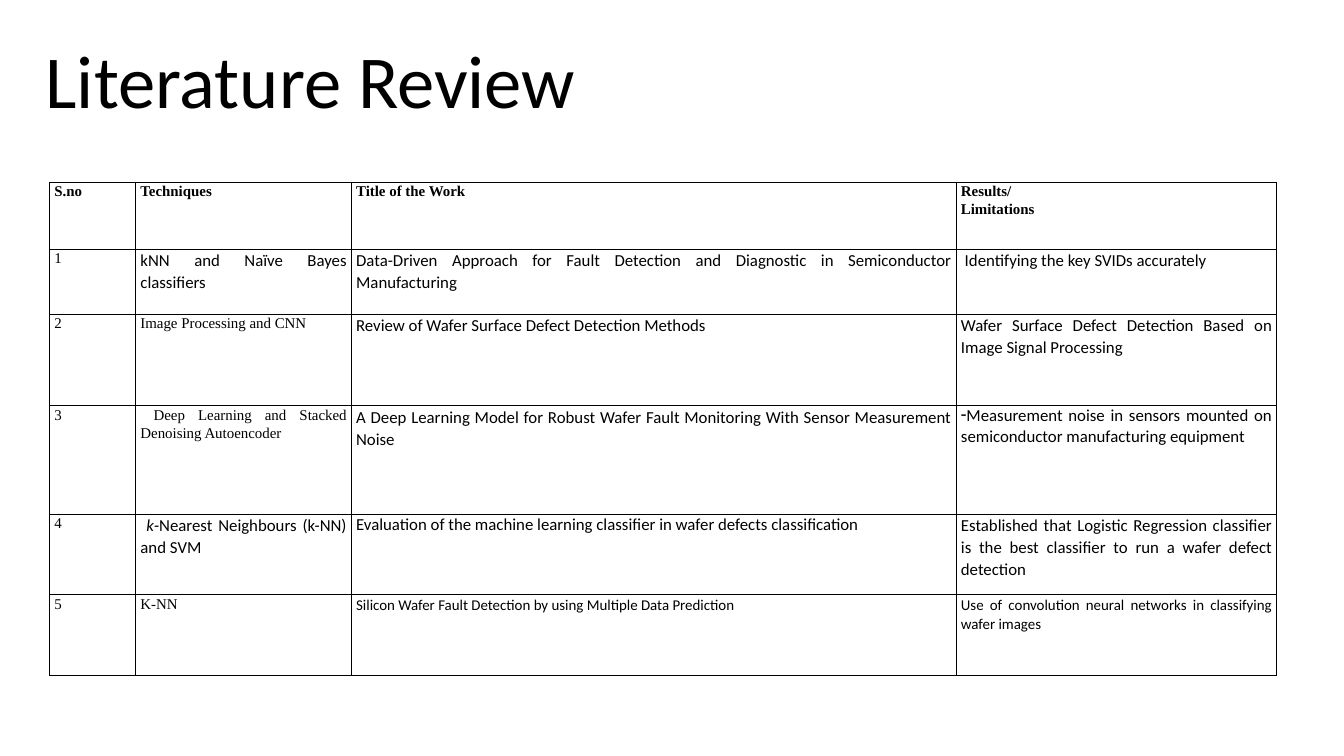
from dataclasses import dataclass

from lxml import etree
from pptx import Presentation
from pptx.dml.color import RGBColor
from pptx.enum.text import PP_ALIGN
from pptx.oxml.ns import qn
from pptx.util import Inches, Pt

JUSTIFY = PP_ALIGN.JUSTIFY
BLANK_LAYOUT = 6


@dataclass(frozen=True)
class TextStyle:
    font: str
    size: int
    bold: bool = False
    italic: bool = False


@dataclass(frozen=True)
class Theme:
    ink: str = "000000"
    paper: str = "FFFFFF"
    border_width: float = 1
    line_spacing: float = 1.07
    title: TextStyle = TextStyle("Calibri", 80)
    header: TextStyle = TextStyle("Times New Roman", 16, bold=True)
    serif: TextStyle = TextStyle("Times New Roman", 16)
    body: TextStyle = TextStyle("Calibri", 18)
    body_italic: TextStyle = TextStyle("Calibri", 18, italic=True)
    small: TextStyle = TextStyle("Calibri", 16)


@dataclass(frozen=True)
class Paragraph:
    runs: tuple
    line_spacing: float | None = Theme.line_spacing
    bullet: str = ""


THEME = Theme()
COLUMN_WIDTHS = (1.28, 3.21, 9, 4.77)
ROW_HEIGHTS = (1, 0.97, 1.36, 1.61, 1.2, 1.2)


def line(text, style, **options):
    return [Paragraph(((text, style),), **options)]


HEADERS = [
    line("S.no ", THEME.header),
    line("Techniques", THEME.header),
    line("Title of the Work", THEME.header),
    line("Results/", THEME.header) + line("Limitations", THEME.header),
]
WORKS = [
    [
        line("kNN and Naïve Bayes classifiers", THEME.body),
        line("Data-Driven Approach for Fault Detection and Diagnostic in "
             "Semiconductor Manufacturing", THEME.body),
        line(" Identifying the key SVIDs accurately ", THEME.body),
    ],
    [
        line("Image Processing and CNN", THEME.serif),
        line("Review of Wafer Surface Defect Detection Methods", THEME.body),
        line("Wafer Surface Defect Detection Based on Image Signal Processing",
             THEME.body),
    ],
    [
        line(" Deep Learning and Stacked Denoising Autoencoder", THEME.serif),
        line("A Deep Learning Model for Robust Wafer Fault Monitoring With "
             "Sensor Measurement Noise", THEME.body),
        line("Measurement noise in sensors mounted on semiconductor "
             "manufacturing equipment", THEME.body,
             line_spacing=None, bullet="-"),
    ],
    [
        [Paragraph(((" ", THEME.body), ("k", THEME.body_italic),
                    ("-Nearest Neighbours (k-NN) and SVM", THEME.body)))],
        line("Evaluation of the machine learning classifier in wafer defects "
             "classification", THEME.body, line_spacing=None),
        line("Established that Logistic Regression classifier is the best "
             "classifier to run a wafer defect detection ", THEME.body),
    ],
    [
        line("K-NN", THEME.serif),
        line("Silicon Wafer Fault Detection by using Multiple Data Prediction",
             THEME.small),
        line("Use of convolution neural networks in classifying wafer images",
             THEME.small),
    ],
]


def add_run(paragraph, text, style):
    run = paragraph.add_run()
    run.text = text
    run.font.name = style.font
    run.font.size = Pt(style.size)
    run.font.bold = style.bold
    run.font.italic = style.italic
    run.font.color.rgb = RGBColor.from_string(THEME.ink)


def add_title(slide, text):
    box = slide.shapes.add_textbox(
        Inches(0.58), Inches(0.46), Inches(8.83), Inches(1.45))
    box.text_frame.word_wrap = True
    add_run(box.text_frame.paragraphs[0], text, THEME.title)


def set_bullet(paragraph, character):
    properties = paragraph._p.get_or_add_pPr()
    properties.set("marL", "0")
    properties.set("indent", "0")
    etree.SubElement(properties, qn("a:buChar"), char=character)


def set_borders(cell):
    properties = cell._tc.get_or_add_tcPr()
    for position, side in enumerate(("lnL", "lnR", "lnT", "lnB")):
        border = etree.Element(
            qn(f"a:{side}"), w=str(Pt(THEME.border_width)))
        fill = etree.SubElement(border, qn("a:solidFill"))
        etree.SubElement(fill, qn("a:srgbClr"), val=THEME.ink)
        properties.insert(position, border)


def fill_cell(cell, paragraphs):
    cell.margin_left = cell.margin_right = Inches(0.07)
    cell.margin_top = cell.margin_bottom = 0
    cell.fill.solid()
    cell.fill.fore_color.rgb = RGBColor.from_string(THEME.paper)
    set_borders(cell)
    frame = cell.text_frame
    for index, content in enumerate(paragraphs):
        paragraph = frame.add_paragraph() if index else frame.paragraphs[0]
        paragraph.alignment = JUSTIFY
        if content.line_spacing:
            paragraph.line_spacing = content.line_spacing
        if content.bullet:
            set_bullet(paragraph, content.bullet)
        for text, style in content.runs:
            add_run(paragraph, text, style)


def add_review_table(slide, rows):
    table = slide.shapes.add_table(
        len(ROW_HEIGHTS), len(COLUMN_WIDTHS), Inches(0.74), Inches(2.71),
        Inches(sum(COLUMN_WIDTHS)), Inches(sum(ROW_HEIGHTS))).table
    table.first_row = False
    table.horz_banding = False
    for column, width in zip(table.columns, COLUMN_WIDTHS):
        column.width = Inches(width)
    for row, height, contents in zip(table.rows, ROW_HEIGHTS, rows):
        row.height = Inches(height)
        for cell, paragraphs in zip(row.cells, contents):
            fill_cell(cell, paragraphs)


def main():
    presentation = Presentation()
    presentation.slide_width = Inches(20)
    presentation.slide_height = Inches(11.25)
    slide = presentation.slides.add_slide(
        presentation.slide_layouts[BLANK_LAYOUT])
    add_title(slide, "Literature Review")
    numbered_works = [[line(str(number), THEME.serif), *work]
                      for number, work in enumerate(WORKS, start=1)]
    add_review_table(slide, [HEADERS, *numbered_works])
    presentation.save("out.pptx")


if __name__ == "__main__":
    main()
